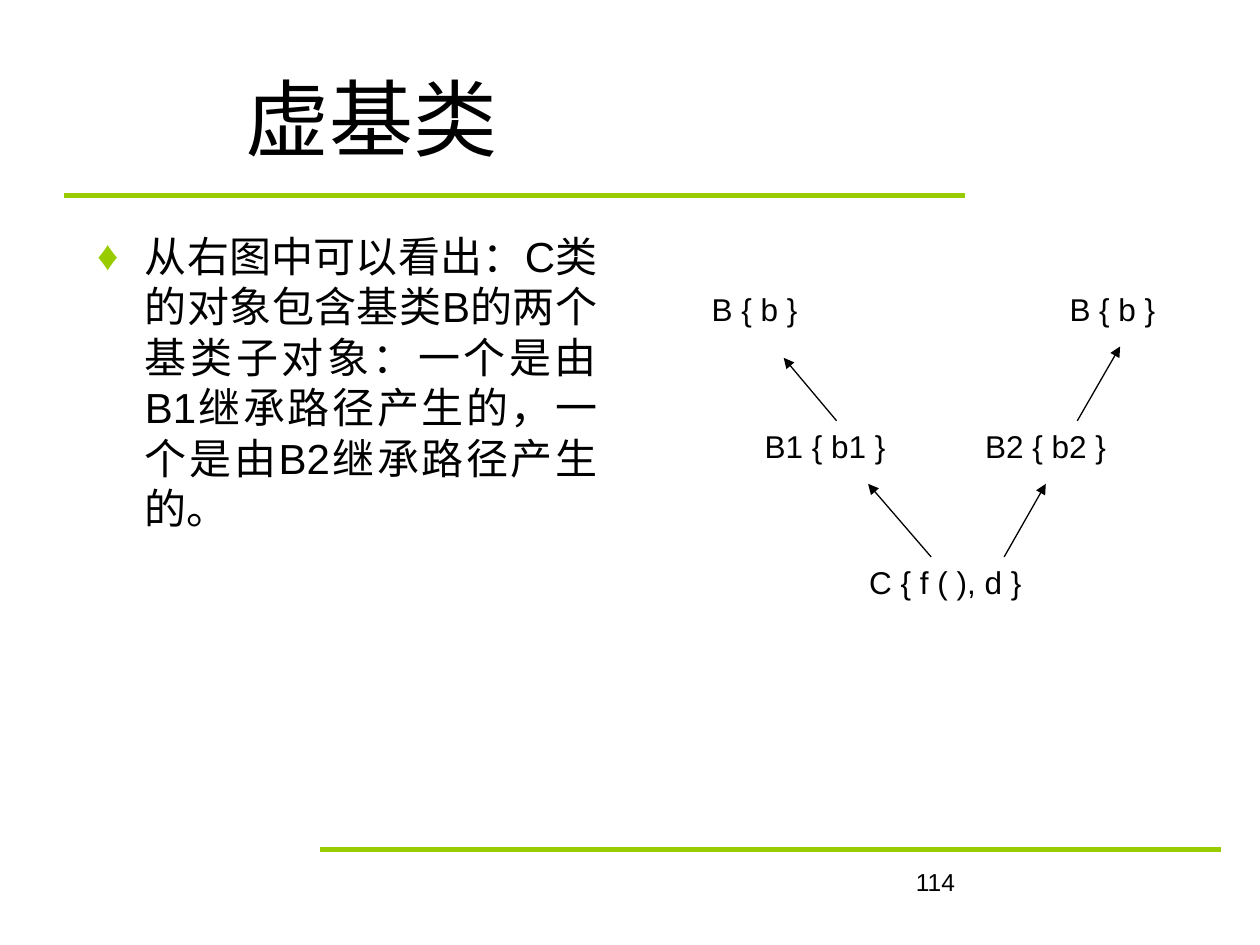
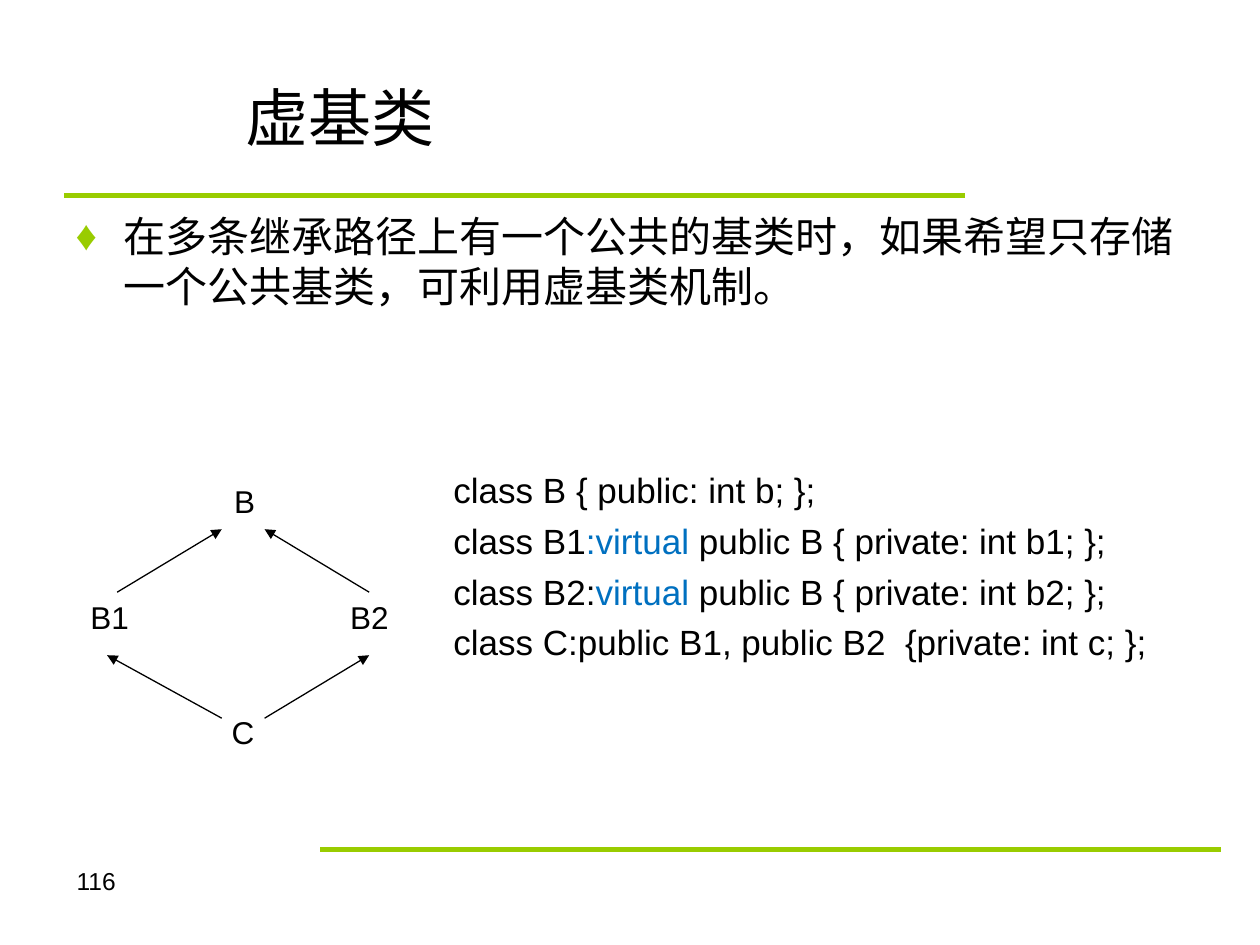
from dataclasses import dataclass

from lxml import etree
from pptx import Presentation
from pptx.dml import color
from pptx.enum import shapes, text
from pptx.oxml import ns
from pptx.util import Inches, Pt

COLOURS = {"accent": "99CC00", "ink": "000000", "keyword": "0070C0"}
FONT = "Arial"
TITLE_BOX = (1.85, 0.3, 7.65, 1.25)
HANGING = 0.38
# Start and end of the green rules under the title and above the footer
RULES = [((0.51, 1.55), (7.66, 1.55)), ((2.54, 6.74), (9.69, 6.74))]


@dataclass
class Node:
    label: str
    left: float
    top: float
    width: float


@dataclass
class Arrow:
    start: tuple[float, float]
    end: tuple[float, float]


@dataclass
class Page:
    title_size: int
    body: str
    body_box: tuple[float, float, float, float]
    body_align: text.PP_ALIGN
    number: str
    number_box: tuple[float, float, float, float]
    nodes: list[Node]
    arrows: list[Arrow]


PAGES = [
    Page(
        48,
        "从右图中可以看出：C类的对象包含基类B的两个基类子对象：一个是由B1继承路径产生的，一个是由B2继承路径产生的。",
        (0.67, 1.78, 4.17, 4.5), text.PP_ALIGN.JUSTIFY,
        "114", (7.17, 6.83, 2.08, 0.5),
        [
            Node("B { b }", 5.55, 2.25, 1.17),
            Node("B { b }", 8.39, 2.25, 1.17),
            Node("B1 { b1 }", 5.97, 3.34, 1.5),
            Node("B2 { b2 }", 7.72, 3.34, 1.5),
            Node("C { f ( ), d }", 6.8, 4.42, 1.92),
        ],
        [
            Arrow((6.64, 3.34), (6.22, 2.84)),
            Arrow((8.55, 3.34), (8.89, 2.75)),
            Arrow((7.39, 4.42), (6.89, 3.84)),
            Arrow((7.97, 4.42), (8.3, 3.84)),
        ],
    ),
    Page(
        36,
        "在多条继承路径上有一个公共的基类时，如果希望只存储一个公共基类，可利用虚基类机制。",
        (0.5, 1.62, 9, 5.04), text.PP_ALIGN.LEFT,
        "116", (0.51, 6.82, 1.42, 0.52),
        [
            Node("B", 1.76, 3.78, 0.5),
            Node("B1", 0.62, 4.7, 0.67),
            Node("B2", 2.68, 4.7, 0.67),
            Node("C", 1.74, 5.61, 0.43),
        ],
        [
            Arrow((0.93, 4.7), (1.76, 4.2)),
            Arrow((2.93, 4.7), (2.1, 4.2)),
            Arrow((1.76, 5.7), (0.85, 5.2)),
            Arrow((2.1, 5.7), (2.93, 5.2)),
        ],
    ),
]

# Each code line is a list of (text, colour) pieces
CODE_BOX = (3.5, 3.67, 6.75, 2.83)
CODE = [
    [("class B { public: int b; };", "ink")],
    [("class B1", "ink"), (":virtual", "keyword"),
     (" public B { private: int b1; };", "ink")],
    [("class B2:", "ink"), ("virtual", "keyword"),
     (" public B { private: int b2; };", "ink")],
    [("class C:public B1, public B2  {private: int c; };", "ink")],
]


def rgb(name: str) -> color.RGBColor:
    return color.RGBColor.from_string(COLOURS[name])


def format_run(run, size: float, colour: str = "ink") -> None:
    run.font.name = FONT
    run.font.size = Pt(size)
    run.font.color.rgb = rgb(colour)


def fill_frame(frame, content: str, size: float):
    frame.text = content
    paragraph = frame.paragraphs[0]
    paragraph.space_before = Pt(0)
    format_run(paragraph.runs[0], size)
    return paragraph


def hang(paragraph, bullet: str = "") -> None:
    props = paragraph._p.get_or_add_pPr()
    props.set("marL", str(Inches(HANGING)))
    props.set("indent", str(-Inches(HANGING)))
    props.set("hangingPunct", "0")  # keep punctuation inside the margin
    if bullet:
        bullet_colour = etree.SubElement(props, ns.qn("a:buClr"))
        etree.SubElement(bullet_colour, ns.qn("a:srgbClr"), val=COLOURS["accent"])
        etree.SubElement(props, ns.qn("a:buFont"), typeface=FONT)
        etree.SubElement(props, ns.qn("a:buChar"), char=bullet)


def add_line(parent, start: tuple[float, float], end: tuple[float, float],
             colour: str, width: float, arrow: bool = False) -> None:
    line = parent.add_connector(
        shapes.MSO_CONNECTOR.STRAIGHT, *(Inches(v) for v in (*start, *end)))
    line.line.color.rgb = rgb(colour)
    line.line.width = Pt(width)
    if arrow:
        etree.SubElement(line.line._get_or_add_ln(), ns.qn("a:tailEnd"), type="triangle")
    etree.SubElement(line._element.spPr, ns.qn("a:effectLst"))


def add_text_frame(parent, box: tuple[float, float, float, float]):
    frame = parent.add_textbox(*(Inches(v) for v in box)).text_frame
    frame.word_wrap = True
    return frame


def fill_placeholder(holder, box: tuple[float, float, float, float],
                     content: str, size: float):
    holder.left, holder.top, holder.width, holder.height = (Inches(v) for v in box)
    holder.text_frame.auto_size = text.MSO_AUTO_SIZE.NONE
    return fill_frame(holder.text_frame, content, size)


def add_diagram(slide, nodes: list[Node], arrows: list[Arrow]) -> None:
    diagram = slide.shapes.add_group_shape().shapes
    for node in nodes:
        frame = add_text_frame(diagram, (node.left, node.top, node.width, 0.4))
        frame.auto_size = text.MSO_AUTO_SIZE.SHAPE_TO_FIT_TEXT
        fill_frame(frame, node.label, 18)
    for arrow in arrows:
        add_line(diagram, arrow.start, arrow.end, "ink", 0.75, arrow=True)


def add_code(slide) -> None:
    frame = add_text_frame(slide.shapes, CODE_BOX)
    for index, pieces in enumerate(CODE):
        paragraph = frame.add_paragraph() if index else frame.paragraphs[0]
        hang(paragraph)
        paragraph.space_before = Pt(5 if index else 0)
        for content, colour in pieces:
            run = paragraph.add_run()
            run.text = content
            format_run(run, 20, colour)


def add_page(deck, page: Page):
    slide = deck.slides.add_slide(deck.slide_layouts[1])
    for start, end in RULES:
        add_line(slide.shapes, start, end, "accent", 3)

    # Title and bulleted statement
    heading = fill_placeholder(slide.shapes.title, TITLE_BOX, "虚基类", page.title_size)
    heading.alignment = text.PP_ALIGN.LEFT
    slide.shapes.title.text_frame.vertical_anchor = text.MSO_ANCHOR.MIDDLE
    statement = fill_placeholder(slide.placeholders[1], page.body_box, page.body, 24)
    hang(statement, "♦")
    statement.alignment = page.body_align

    # Page number and inheritance diagram
    fill_frame(add_text_frame(slide.shapes, page.number_box), page.number, 14)
    add_diagram(slide, page.nodes, page.arrows)
    return slide


def main() -> None:
    deck = Presentation()
    deck.slide_width, deck.slide_height = Inches(10), Inches(7.5)
    _, virtual_base = [add_page(deck, page) for page in PAGES]
    add_code(virtual_base)
    deck.save("out.pptx")


if __name__ == "__main__":
    main()
